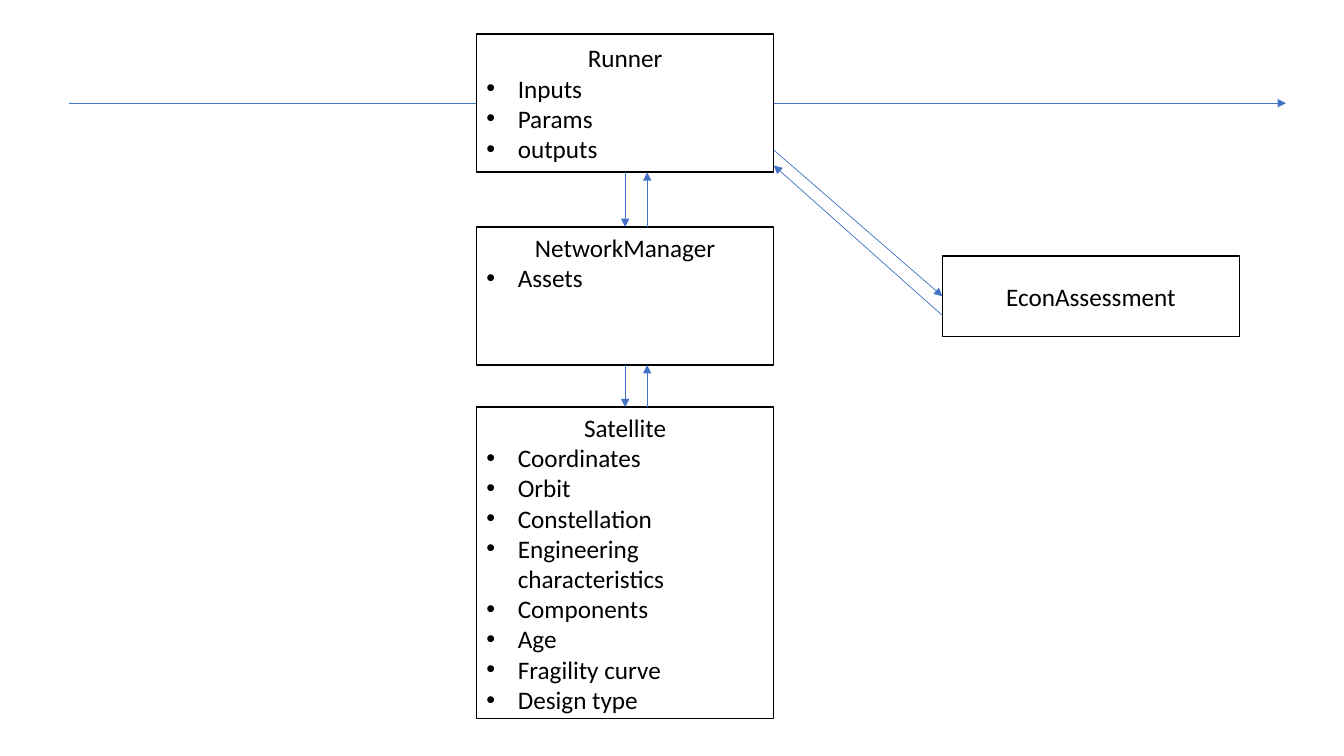
"""Draw the class diagram of a runner, its network, satellites and assessment."""
from dataclasses import dataclass
from itertools import pairwise

from lxml.etree import SubElement as Sub
from pptx import Presentation
from pptx.dml.color import RGBColor as Rgb
from pptx.enum.shapes import MSO_CONNECTOR as Link, MSO_SHAPE as Kind
from pptx.enum.text import MSO_ANCHOR as Anchor, PP_ALIGN as Align
from pptx.oxml.ns import qn
from pptx.slide import Slide
from pptx.util import Cm, Pt

COLORS = {"ink": "000000", "paper": "FFFFFF", "arrow": "4472C4"}
WIDE = 7.49
INDENT = Cm(0.79)


@dataclass
class Box:
    title: str
    items: list[str]
    left: float
    top: float
    height: float
    middle: bool = False
    filled: bool = False

    @property
    def right(self) -> float:
        return self.left + WIDE

    @property
    def bottom(self) -> float:
        return self.top + self.height


@dataclass
class Arrow:
    x1: float
    y1: float
    x2: float
    y2: float


def color(name: str) -> Rgb:
    return Rgb.from_string(COLORS[name])


def draw_box(slide: Slide, box: Box) -> None:
    shape = slide.shapes.add_shape(
        Kind.RECTANGLE, Cm(box.left), Cm(box.top), Cm(WIDE), Cm(box.height))
    shape.shadow.inherit = False
    if box.filled:
        shape.fill.solid()
        shape.fill.fore_color.rgb = color("paper")
    else:
        shape.fill.background()
    shape.line.color.rgb = color("ink")
    shape.line.width = Pt(1)
    frame = shape.text_frame
    frame.word_wrap = True
    frame.vertical_anchor = Anchor.MIDDLE if box.middle else Anchor.TOP
    frame.text = "\n".join([box.title, *box.items])
    for rank, para in enumerate(frame.paragraphs):
        para.alignment = Align.LEFT if rank else Align.CENTER
        font = para.runs[0].font
        font.name, font.size = "Calibri", Pt(18)
        font.color.rgb = color("ink")
        if rank:
            props = para._p.get_or_add_pPr()
            props.set("marL", str(INDENT))
            props.set("indent", str(-INDENT))
            Sub(props, qn("a:buFont"), typeface="Arial")
            Sub(props, qn("a:buChar"), char="•")


def draw_arrow(slide: Slide, arrow: Arrow) -> None:
    line = slide.shapes.add_connector(
        Link.STRAIGHT, Cm(arrow.x1), Cm(arrow.y1), Cm(arrow.x2), Cm(arrow.y2))
    line.line.color.rgb = color("arrow")
    line.line.width = Pt(0.5)
    Sub(line.line._get_or_add_ln(), qn("a:tailEnd"), type="triangle")
    Sub(line._element.spPr, qn("a:effectLst"))


LEFT = 12.01
DOWN, UP = LEFT + WIDE / 2, 16.31
runner = Box("Runner", ["Inputs", "Params", "outputs"],
             LEFT, 0.86, 3.48, middle=True, filled=True)
network = Box("NetworkManager", ["Assets"], LEFT, 5.72, 3.48)
craft = Box("Satellite", [
    "Coordinates", "Orbit", "Constellation", "Engineering characteristics",
    "Components", "Age", "Fragility curve", "Design type",
], LEFT, 10.26, 7.85)
econ = Box("EconAssessment", [], 23.75, 6.45, 2.03, middle=True)

stack = [runner, network, craft]
middle = runner.top + runner.height / 2
flow = Arrow(1.73, middle, 32.41, middle)
calls = [
    Arrow(runner.right, 3.78, econ.left, econ.top + econ.height / 2),
    Arrow(econ.left, 7.95, runner.right, 4.17),
]
for upper, lower in pairwise(stack):
    calls.append(Arrow(DOWN, upper.bottom, DOWN, lower.top))
    calls.append(Arrow(UP, lower.top, UP, upper.bottom))

deck = Presentation()
deck.slide_width, deck.slide_height = Cm(33.87), Cm(19.05)
page = deck.slides.add_slide(deck.slide_layouts[6])
draw_arrow(page, flow)
for box in [*stack, econ]:
    draw_box(page, box)
for call in calls:
    draw_arrow(page, call)
deck.save("out.pptx")
